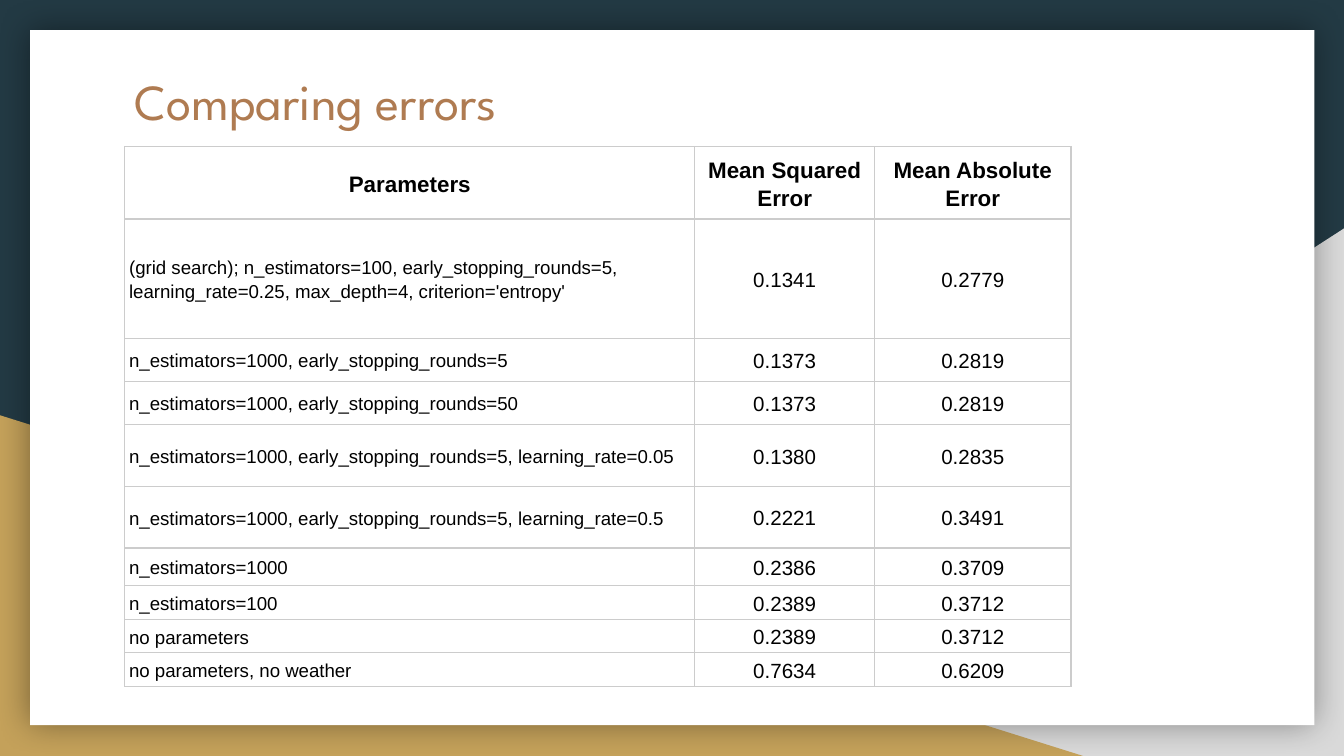
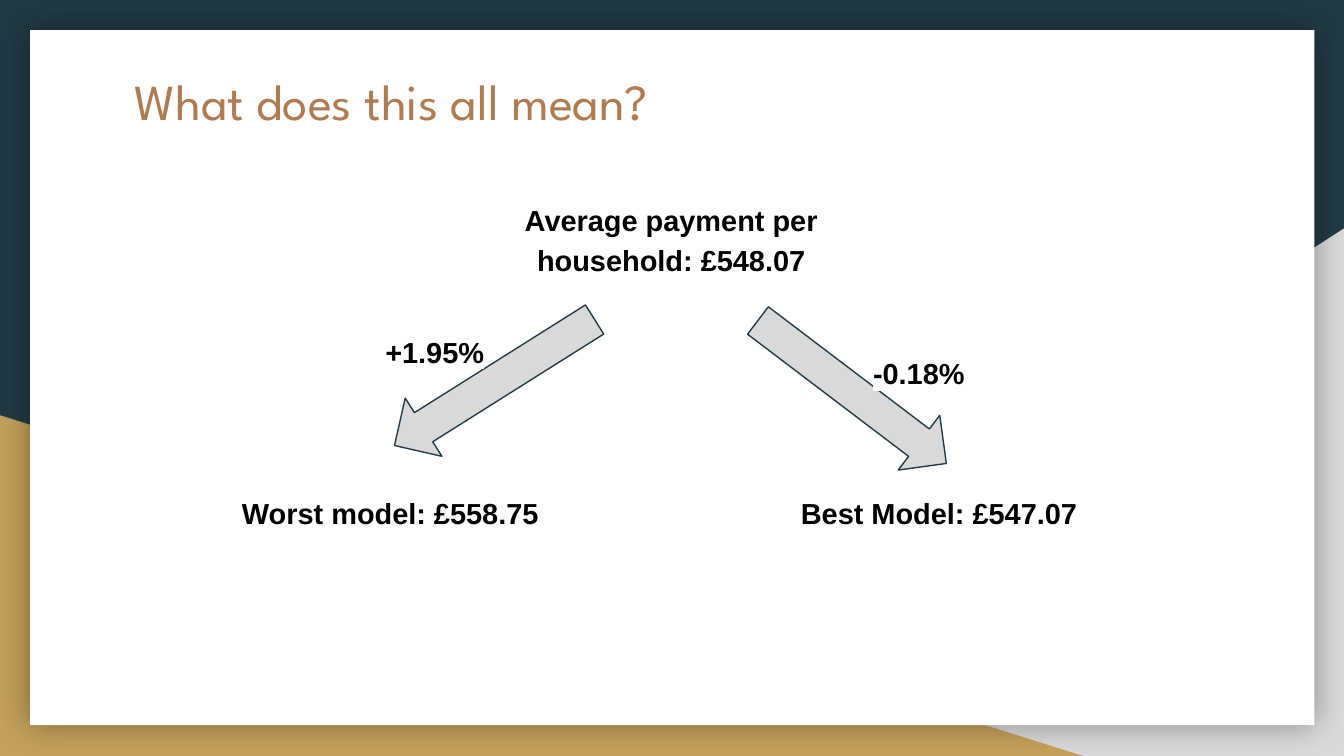
from lxml.etree import SubElement
from pptx import Presentation
from pptx.dml.color import RGBColor
from pptx.enum.shapes import MSO_SHAPE
from pptx.enum.text import MSO_ANCHOR, MSO_AUTO_SIZE, PP_ALIGN
from pptx.oxml.ns import qn
from pptx.util import Cm, Pt

COLORS = {
    "navy": "233A44",
    "gold": "C4A15A",
    "gray": "D9D9D9",
    "white": "FFFFFF",
    "black": "000000",
    "copper": "AF7B51",
    "border": "CCCCCC",
}
TITLE_FONT = "League Spartan"
BODY_FONT = "Arial"

HEADERS = ["Parameters", "Mean Squared Error", "Mean Absolute Error"]
COLUMN_WIDTHS = [10.77, 3.4, 3.71]
HEADER_HEIGHT = 1.37
MODELS = [
    (2.26, "(grid search); n_estimators=100, early_stopping_rounds=5, "
           "learning_rate=0.25, max_depth=4, criterion='entropy'", "0.1341", "0.2779"),
    (0.81, "n_estimators=1000, early_stopping_rounds=5", "0.1373", "0.2819"),
    (0.81, "n_estimators=1000, early_stopping_rounds=50", "0.1373", "0.2819"),
    (1.17, "n_estimators=1000, early_stopping_rounds=5, learning_rate=0.05", "0.1380", "0.2835"),
    (1.17, "n_estimators=1000, early_stopping_rounds=5, learning_rate=0.5", "0.2221", "0.3491"),
    (0.71, "n_estimators=1000", "0.2386", "0.3709"),
    (0.56, "n_estimators=100", "0.2389", "0.3712"),
    (0.56, "no parameters", "0.2389", "0.3712"),
    (0.56, "no parameters, no weather", "0.7634", "0.6209"),
]

LABEL_WIDTH = 7.29
LABELS = [
    ("Average payment per household: £548.07", 9.04, 3.48, 1.93),
    ("Worst model: £558.75", 3.73, 9.02, 1.17),
    ("Best Model: £547.07", 14.1, 9.02, 1.17),
    ("+1.95%", 4.57, 5.97, 1.17),
    ("-0.18%", 13.72, 6.38, 1.17),
]
ARROWS = [(7.11, 6.58, 147.8), (13.87, 6.76, 37.2)]


def rgb(name):
    return RGBColor.from_string(COLORS[name])


def add_color(parent, tag, name):
    holder = SubElement(parent, qn(tag))
    return SubElement(holder, qn("a:srgbClr"), val=COLORS[name])


def style_font(font, name, size, color, bold=False):
    font.name = name
    font.size = Pt(size)
    font.bold = bold
    font.color.rgb = rgb(color)


def add_figure(page, preset, left, top, width, height, fill):
    figure = page.shapes.add_shape(preset, Cm(left), Cm(top), Cm(width), Cm(height))
    figure.shadow.inherit = False
    figure.fill.solid()
    figure.fill.fore_color.rgb = rgb(fill)
    figure.line.fill.background()
    return figure


def add_glow_shadow(figure, blur, opacity):
    effects = figure.element.spPr.find(qn("a:effectLst"))
    shadow = SubElement(effects, qn("a:outerShdw"), blurRad=str(Pt(blur)),
                        dist="0", dir="0", algn="ctr", rotWithShape="0")
    color = SubElement(shadow, qn("a:srgbClr"), val=COLORS["black"])
    SubElement(color, qn("a:alpha"), val=str(opacity * 1000))


def add_text(page, text, left, top, width, height):
    box = page.shapes.add_textbox(Cm(left), Cm(top), Cm(width), Cm(height))
    frame = box.text_frame
    frame.word_wrap = True
    frame.margin_left = frame.margin_right = Cm(0.25)
    frame.margin_top = frame.margin_bottom = Cm(0.25)
    frame.text = text
    return frame


def add_page(deck, title):
    page = deck.slides.add_slide(deck.slide_layouts[6])
    page.background.fill.solid()
    page.background.fill.fore_color.rgb = rgb("navy")
    right_corner = add_figure(page, MSO_SHAPE.RIGHT_TRIANGLE, 9.96, 4.32, 15.44, 9.97, "gray")
    right_corner.element.spPr.find(qn("a:xfrm")).set("flipH", "1")
    add_figure(page, MSO_SHAPE.RIGHT_TRIANGLE, 0, 7.85, 20.47, 6.44, "gold")
    panel = add_figure(page, MSO_SHAPE.RECTANGLE, 0.57, 0.57, 24.27, 13.14, "white")
    add_glow_shadow(panel, 18, 40)
    frame = add_text(page, title, 2.29, 1.07, 20.85, 1.68)
    style_font(frame.paragraphs[0].runs[0].font, TITLE_FONT, 27, "copper")
    return page


def add_label(page, text, left, top, height):
    frame = add_text(page, text, left, top, LABEL_WIDTH, height)
    frame.auto_size = MSO_AUTO_SIZE.SHAPE_TO_FIT_TEXT
    para = frame.paragraphs[0]
    para.alignment = PP_ALIGN.CENTER
    para.line_spacing = 1.15
    span = para.runs[0]
    style_font(span.font, BODY_FONT, 15.5, "black", bold=True)
    properties = span.font.fill._xPr
    highlight = add_color(properties, "a:highlight", "white").getparent()
    properties.find(qn("a:solidFill")).addnext(highlight)


def add_arrow(page, left, top, rotation):
    arrow = add_figure(page, MSO_SHAPE.RIGHT_ARROW, left, top, 4.47, 1.3, "gray")
    arrow.rotation = rotation
    arrow.line.color.rgb = rgb("navy")
    arrow.line.width = Pt(0.75)


def fill_cell(cell, text, size, centered, bold, white):
    cell.text = text
    cell.vertical_anchor = MSO_ANCHOR.MIDDLE
    cell.margin_left = cell.margin_right = Cm(0.08)
    cell.margin_top = cell.margin_bottom = Cm(0.05)
    para = cell.text_frame.paragraphs[0]
    para.alignment = PP_ALIGN.CENTER if centered else PP_ALIGN.LEFT
    para.line_spacing = 1.15
    style_font(para.runs[0].font, BODY_FONT, size, "black", bold)
    properties = cell._tc.get_or_add_tcPr()
    for side in ("L", "R", "T", "B"):
        edge = SubElement(properties, qn(f"a:ln{side}"), w=str(Pt(0.75)))
        add_color(edge, "a:solidFill", "border")
    if white:
        cell.fill.solid()
        cell.fill.fore_color.rgb = rgb("white")
    else:
        cell.fill.background()


def add_error_table(page):
    heights = [HEADER_HEIGHT] + [height for height, *_ in MODELS]
    frame = page.shapes.add_table(len(heights), len(HEADERS), Cm(2.36), Cm(2.77),
                                  Cm(sum(COLUMN_WIDTHS)), Cm(sum(heights)))
    table = frame.table
    table.first_row = False
    table.horz_banding = False
    for column, width in zip(table.columns, COLUMN_WIDTHS):
        column.width = Cm(width)
    for row, height in zip(table.rows, heights):
        row.height = Cm(height)
    for column, header in enumerate(HEADERS):
        fill_cell(table.cell(0, column), header, 12, True, True, False)
    for row, (_, *values) in enumerate(MODELS, start=1):
        for column, value in enumerate(values):
            numeric = column > 0
            fill_cell(table.cell(row, column), value, 11 if numeric else 10,
                      numeric, False, numeric)


def main():
    deck = Presentation()
    deck.slide_width = Cm(25.4)
    deck.slide_height = Cm(14.29)

    errors_page = add_page(deck, "Comparing errors")
    add_error_table(errors_page)

    meaning_page = add_page(deck, "What does this all mean?")
    for arrow in ARROWS:
        add_arrow(meaning_page, *arrow)
    for label in LABELS:
        add_label(meaning_page, *label)

    deck.save("out.pptx")


if __name__ == "__main__":
    main()
